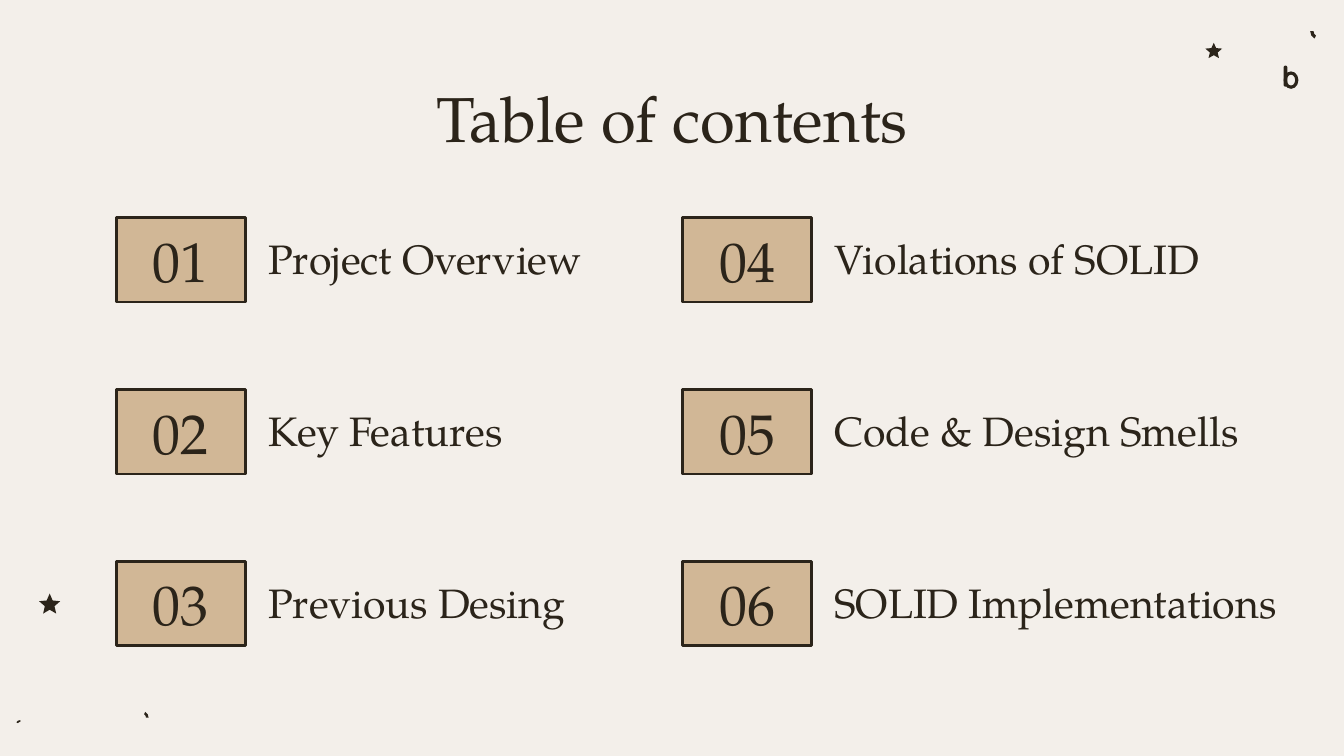
from pptx import Presentation
from pptx import util as u
from pptx.dml.color import RGBColor
from pptx.enum import shapes, text

INK, PAPER, TAN = "2B241A", "F3EFEA", "D1B796"
FONT = "TeX Gyre Pagella"
SHAPE = shapes.MSO_SHAPE
ANCHOR = text.MSO_ANCHOR
ALIGN = text.PP_ALIGN

COLUMNS = [
    ["Project Overview", "Key Features", "Previous Desing"],
    ["Violations of SOLID", "Code & Design Smells", "SOLID Implementations"],
]
LABEL_WIDTHS = [[7.67, 7.67, 7.67], [7.67, 8.89, 9.55]]


def paint(fmt, color):
    """Give a fill or background fill one solid colour."""
    fmt.solid()
    fmt.fore_color.rgb = RGBColor.from_string(color)


def write(sp, words, size, align, anchor, spacing=None):
    """Set and format the single line of text in a shape."""
    tf = sp.text_frame
    tf.word_wrap = True
    tf.vertical_anchor = anchor
    tf.margin_left = tf.margin_right = tf.margin_top = tf.margin_bottom = u.Cm(0.25)
    tf.text = words
    p = tf.paragraphs[0]
    p.alignment = align
    if spacing:
        p.line_spacing = spacing
    font = p.runs[0].font
    font.name, font.size = FONT, u.Pt(size)
    font.color.rgb = RGBColor.from_string(INK)


def add_shape(s, kind, box, color, adjust=(), rotation=0):
    """Add a flat, unlined preset shape in a box given in centimetres."""
    sp = s.shapes.add_shape(kind, *map(u.Cm, box))
    sp.shadow.inherit = False
    sp.rotation = rotation
    for i, value in enumerate(adjust):
        sp.adjustments[i] = value
    paint(sp.fill, color)
    sp.line.fill.background()
    return sp


def add_label(s, box, *args):
    """Add a text box in a box given in centimetres."""
    write(s.shapes.add_textbox(*map(u.Cm, box)), *args)


def add_entry(s, left, top, width, number, label):
    """Place a numbered tile and its label side by side."""
    tile = add_shape(s, SHAPE.RECTANGLE, (left, top, 2.44, 1.6), TAN)
    tile.line.color.rgb = RGBColor.from_string(INK)
    tile.line.width = u.Pt(1.5)
    write(tile, f"{number:02d}", 30, ALIGN.CENTER, ANCHOR.MIDDLE)
    add_label(s, (left + 2.62, top + 0.13, width, 1.35), label, 22,
              ALIGN.LEFT, ANCHOR.BOTTOM, 1.15)


def add_contents(s, left, top, column_pitch, row_pitch):
    """Lay out the entries column by column."""
    for c, labels in enumerate(COLUMNS):
        for r, label in enumerate(labels):
            add_entry(s, left + c * column_pitch, top + r * row_pitch,
                      LABEL_WIDTHS[c][r], c * len(labels) + r + 1, label)


def add_star(s, left, top, width, height):
    """Draw a small star."""
    add_shape(s, SHAPE.STAR_5_POINT, (left, top, width, height), INK, [0.23])


def add_arc(s, left, top, size, rotation):
    """Draw a small half ring turned by the given angle."""
    add_shape(s, SHAPE.BLOCK_ARC, (left, top, size, size), INK,
              [180, 0, 0.2], rotation)


def add_bottom_corner(s, left, top):
    """Scatter the ornaments of the lower left corner."""
    add_star(s, left + 0.44, top, 0.4, 0.38)
    add_arc(s, left, top + 2.39, 0.17, 270)
    add_arc(s, left + 2.26, top + 2.22, 0.25, 0)


def add_top_corner(s, left, top):
    """Scatter the ornaments of the upper right corner."""
    add_star(s, left, top + 0.28, 0.32, 0.29)
    add_arc(s, left + 1.98, top - 0.1, 0.32, 180)
    add_shape(s, SHAPE.DONUT, (left + 1.48, top + 0.82, 0.28, 0.33), INK, [0.22])
    add_shape(s, SHAPE.ROUNDED_RECTANGLE, (left + 1.48, top + 0.71, 0.07, 0.4),
              INK, [0.5])


def main():
    """Build and save the contents slide."""
    prs = Presentation()
    prs.slide_width, prs.slide_height = u.Cm(25.4), u.Cm(14.29)
    s = prs.slides.add_slide(prs.slide_layouts[6])
    paint(s.background.fill, PAPER)
    add_bottom_corner(s, 0.3, 11.22)
    add_top_corner(s, 22.78, 0.53)
    add_label(s, (2, 1.24, 21.4, 1.6), "Table of contents", 34,
              ALIGN.CENTER, ANCHOR.TOP)
    add_contents(s, 2.2, 4.11, 10.7, 3.25)
    prs.save("out.pptx")


if __name__ == "__main__":
    main()
